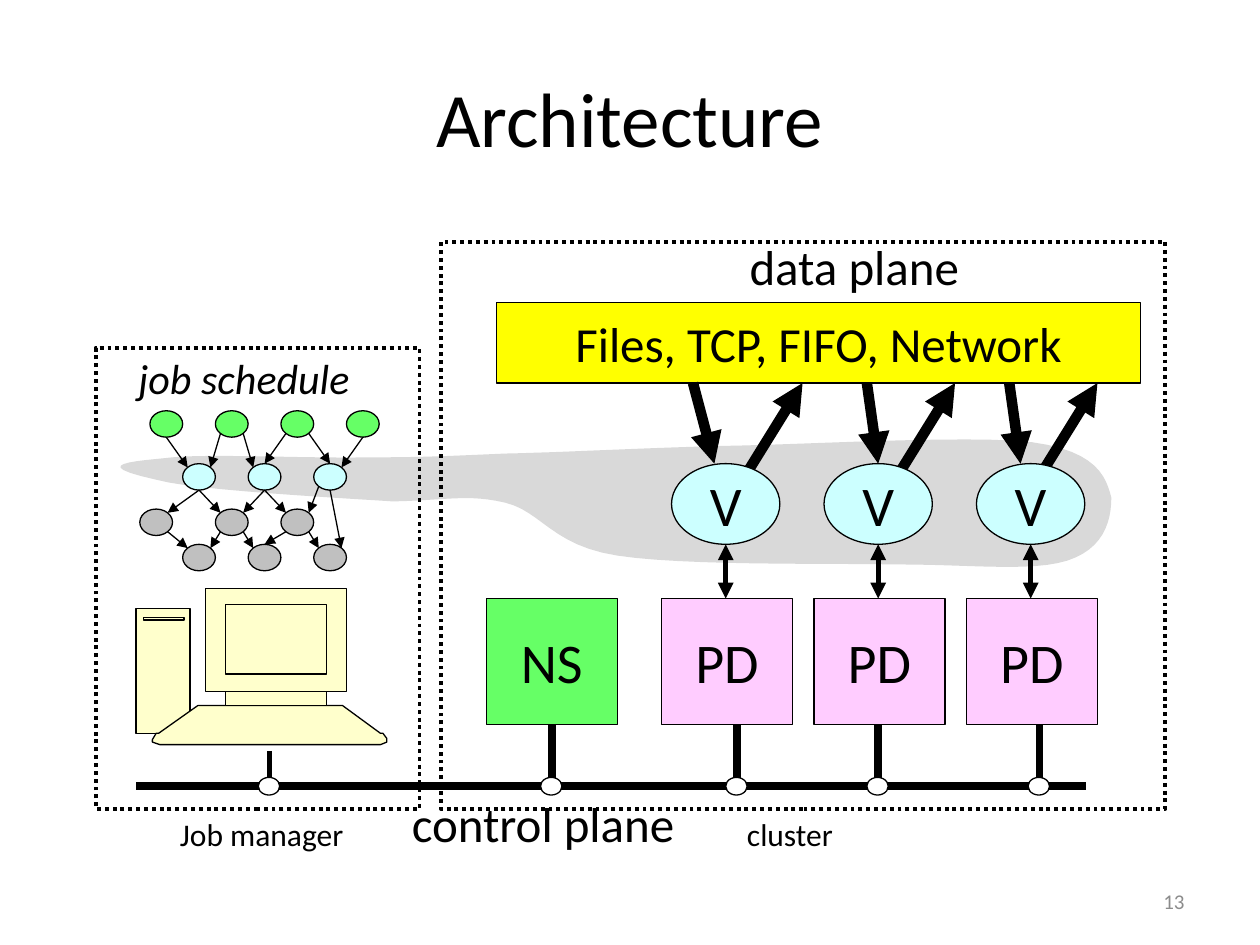
from lxml.etree import SubElement
from pptx import Presentation
from pptx.dml.color import RGBColor
from pptx.enum.dml import MSO_LINE
from pptx.enum.shapes import MSO_CONNECTOR, MSO_SHAPE
from pptx.enum.text import MSO_ANCHOR, PP_ALIGN
from pptx.oxml.ns import qn
from pptx.util import Cm, Pt

BLACK = RGBColor(0, 0, 0)
WHITE = RGBColor(255, 255, 255)
GREY = RGBColor(0xC0, 0xC0, 0xC0)
PALE = RGBColor(0xD9, 0xD9, 0xD9)
DIM = RGBColor(0x8C, 0x8C, 0x8C)
YELLOW = RGBColor(255, 255, 0)
GREEN = RGBColor(0x66, 255, 0x66)
CYAN = RGBColor(0xCC, 255, 255)
PINK = RGBColor(255, 0xCC, 255)
CREAM = RGBColor(255, 255, 0xCC)
RECT, OVAL = MSO_SHAPE.RECTANGLE, MSO_SHAPE.OVAL


def scale(*nums):
    return [Cm(2.54 * num) for num in nums]


def write(frame, text, size=28, color=BLACK, align=PP_ALIGN.LEFT,
          anchor=MSO_ANCHOR.TOP, italic=False, wrap=True):
    frame.word_wrap = wrap
    frame.vertical_anchor = anchor
    para = frame.paragraphs[0]
    para.alignment = align
    run = para.add_run()
    run.text = text
    run.font.name = "Calibri"
    run.font.size = Pt(size)
    run.font.italic = italic
    run.font.color.rgb = color


def curve(start, parts, steps=12):
    dots = [start]
    for one, two, end in parts:
        for step in range(1, steps + 1):
            t = step / steps
            u = 1 - t
            dots.append(tuple(
                u ** 3 * a + 3 * u * u * t * b + 3 * u * t * t * c + t ** 3 * d
                for a, b, c, d in zip(start, one, two, end)))
        start = end
    return dots


class Sketch:
    font = "Calibri"

    def __init__(self, slide):
        self.shapes = slide.shapes

    def paint(self, shape, fill, width, dash=None):
        shape.shadow.inherit = False
        if fill is None:
            shape.fill.background()
        else:
            shape.fill.solid()
            shape.fill.fore_color.rgb = fill
        if width:
            shape.line.color.rgb = BLACK
            shape.line.width = Pt(width)
            shape.line.dash_style = dash
        else:
            shape.line.fill.background()

    def block(self, kind, box, fill=None, text="", size=32, width=0.75, dash=None):
        shape = self.shapes.add_shape(kind, *scale(*box))
        self.paint(shape, fill, width, dash)
        if text:
            write(shape.text_frame, text, size, align=PP_ALIGN.CENTER,
                  anchor=MSO_ANCHOR.MIDDLE, wrap=False)

    def label(self, box, text, **style):
        write(self.shapes.add_textbox(*scale(*box)).text_frame, text, **style)

    def outline(self, dots, fill, width=0.75):
        first, *rest = [scale(*dot) for dot in dots]
        pen = self.shapes.build_freeform(*first, scale=1.0)
        pen.add_line_segments(rest, close=True)
        self.paint(pen.convert_to_shape(), fill, width)

    def line(self, ends, width=0.75, head=False, tail=False):
        link = self.shapes.add_connector(MSO_CONNECTOR.STRAIGHT, *scale(*ends))
        link.line.color.rgb = BLACK
        link.line.width = Pt(width)
        stroke = link.line._get_or_add_ln()
        for tag, wanted in (("a:headEnd", head), ("a:tailEnd", tail)):
            if wanted:
                SubElement(stroke, qn(tag), type="triangle")
        SubElement(link._element.spPr, qn("a:effectLst"))


def draw_graph(art):
    rows = [(3.26, GREEN, (1.19, 1.71, 2.23, 2.75)),
            (3.68, CYAN, (1.45, 1.97, 2.49)),
            (4.04, GREY, (1.11, 1.71, 2.23)),
            (4.32, GREY, (1.45, 1.97, 2.49))]
    for top, fill, lefts in rows:
        for left in lefts:
            art.block(OVAL, (left, top, 0.26, 0.21), fill)
    links = [
        (1.32, 3.47, 1.49, 3.71), (1.75, 3.44, 1.67, 3.71),
        (1.93, 3.44, 2.01, 3.71), (2.27, 3.44, 2.1, 3.68),
        (2.45, 3.44, 2.62, 3.68), (2.88, 3.47, 2.71, 3.71),
        (2.1, 3.89, 2.27, 4.07), (2.1, 3.89, 1.93, 4.07),
        (1.58, 3.89, 1.33, 4.07), (1.58, 3.89, 1.75, 4.07),
        (2.53, 3.86, 2.45, 4.07), (2.62, 3.89, 2.71, 4.35),
        (1.93, 4.22, 2.01, 4.35), (2.27, 4.22, 2.1, 4.32),
        (1.75, 4.22, 1.67, 4.35), (1.33, 4.22, 1.49, 4.35),
        (2.45, 4.22, 2.53, 4.35)]
    for ends in links:
        art.line(ends, tail=True)


def draw_desk(art):
    art.block(RECT, (1.08, 4.83, 0.43, 0.99), CREAM)
    art.block(RECT, (1.14, 4.9, 0.32, 0.02), CREAM)
    art.outline([(1.57, 5.6), (2.72, 5.6), (3.02, 5.82), (3.04, 5.82),
                 (3.07, 5.86), (3.07, 5.89), (3.02, 5.91), (1.27, 5.91),
                 (1.21, 5.89), (1.21, 5.87), (1.24, 5.82), (1.26, 5.82)], CREAM)
    art.block(RECT, (1.79, 5.49, 0.8, 0.11), CREAM)
    art.block(RECT, (1.63, 4.67, 1.12, 0.82), CREAM)
    art.block(RECT, (1.79, 4.8, 0.8, 0.55), CREAM)


def draw_bus(art):
    art.line((1.08, 6.24, 8.62, 6.24), 4.5)
    taps = [(2.14, 5.96, 3), (4.38, 5.53, 4.5), (5.85, 5.53, 4.5),
            (6.97, 5.53, 4.5), (8.25, 5.53, 4.5)]
    for x, top, width in taps:
        art.line((x, top, x, 6.24), width)
        art.block(OVAL, (x - 0.09, 6.17, 0.17, 0.14), WHITE)


def draw_nodes(art):
    art.block(RECT, (3.86, 4.75, 1.04, 1), GREEN, "NS")
    flows = [(5.5, 5.67, 5.93), (6.88, 6.97, 7.14), (8.01, 8.1, 8.27)]
    for col, (start, end, back) in enumerate(flows):
        mid = 5.76 + 1.21 * col
        art.block(RECT, (mid - 0.51, 4.75, 1.04, 1), PINK, "PD")
        art.line((start, 3.04, end, 3.68), 6, tail=True)
        art.line((back, 3.75, back + 0.44, 3.04), 6, tail=True)
        art.line((mid, 4.32, mid, 4.75), 3, head=True, tail=True)
        art.block(OVAL, (mid - 0.43, 3.68, 0.86, 0.64), CYAN, "V")


def main():
    deck = Presentation()
    deck.slide_width, deck.slide_height = scale(10, 7.5)
    art = Sketch(deck.slides.add_slide(deck.slide_layouts[6]))
    art.outline(curve((1.25, 3.81), [
        ((0.66, 3.68), (1.09, 3.66), (1.37, 3.63)),
        ((1.65, 3.6), (2.49, 3.64), (2.93, 3.63)),
        ((3.37, 3.63), (3.55, 3.62), (4.01, 3.6)),
        ((4.47, 3.59), (5, 3.56), (5.7, 3.54)),
        ((6.4, 3.53), (7.67, 3.45), (8.19, 3.51)),
        ((8.71, 3.58), (8.78, 3.79), (8.82, 3.95)),
        ((8.82, 4.15), (8.75, 4.36), (8.47, 4.45)),
        ((8.18, 4.54), (7.71, 4.48), (7.11, 4.48)),
        ((6.52, 4.47), (5.42, 4.49), (4.9, 4.41)),
        ((4.38, 4.33), (4.3, 4.06), (4.01, 3.99)),
        ((3.71, 3.92), (3.56, 3.97), (3.12, 3.98)),
        ((2.66, 3.95), (1.54, 3.89), (1.25, 3.81))]), PALE, 0)
    art.label((0.5, 0.3, 9, 1.25), "Architecture", size=44,
              align=PP_ALIGN.CENTER, anchor=MSO_ANCHOR.MIDDLE)
    art.block(RECT, (3.94, 2.4, 5.11, 0.64), YELLOW, "Files, TCP, FIFO, Network", 28)
    for box in ((0.76, 2.76, 2.57, 3.66), (3.5, 1.92, 5.75, 4.5)):
        art.block(RECT, box, width=2.25, dash=MSO_LINE.ROUND_DOT)
    draw_graph(art)
    draw_bus(art)
    draw_nodes(art)
    draw_desk(art)
    art.label((1, 2.75, 2.08, 0.5), "job schedule", size=24, italic=True)
    art.label((5.85, 1.83, 2.72, 0.57), "data plane")
    art.label((3.17, 6.25, 3.24, 0.57), "control plane")
    art.label((1.33, 6.42, 1.51, 0.4), "Job manager", size=18, wrap=False)
    art.label((5.83, 6.42, 0.89, 0.4), "cluster", size=18, wrap=False)
    art.label((7.17, 6.95, 2.33, 0.4), "13", size=12, color=DIM,
              align=PP_ALIGN.RIGHT, anchor=MSO_ANCHOR.MIDDLE)
    deck.save("out.pptx")


if __name__ == "__main__":
    main()
